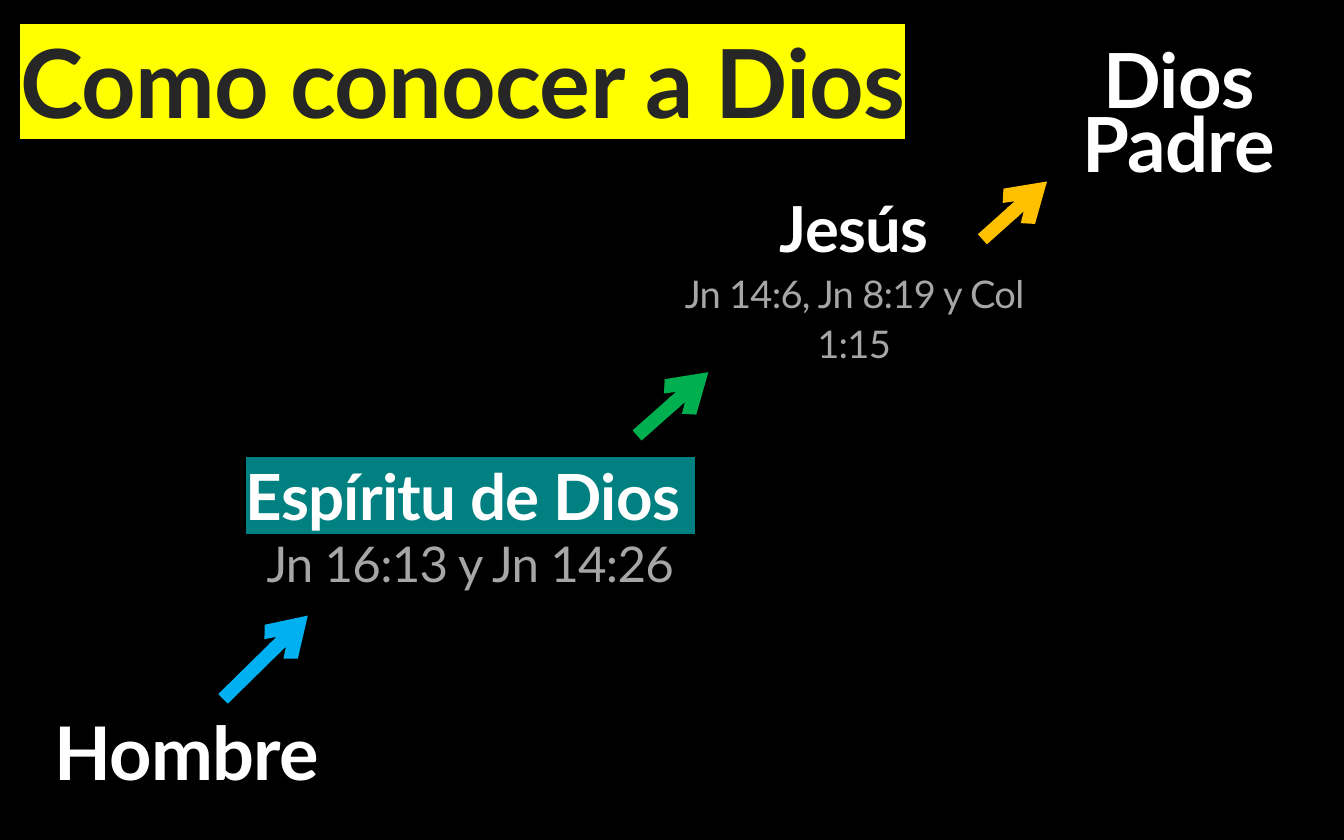
from lxml import etree
from pptx import Presentation
from pptx import util as u
from pptx.dml.color import RGBColor
from pptx.enum import shapes, text
from pptx.oxml.ns import qn

COLORS = {
    "background": "000000", "white": "FFFFFF", "reference": "A6A6A6",
    "heading": "262626", "yellow": "FFFF00", "teal": "008080",
    "blue": "00B0F0", "green": "00B050", "amber": "FFC000",
}
FONT = "Lato"


def rgb(name):
    """Return the named colour."""
    return RGBColor.from_string(COLORS[name])


def write_line(paragraph, words, size, color="white", bold=True, spacing=1.0,
               highlight=None, alignment=text.PP_ALIGN.CENTER):
    """Fill a paragraph with one formatted run."""
    run = paragraph.add_run()
    run.text = words
    paragraph.alignment = alignment
    paragraph.line_spacing = spacing
    paragraph.space_before = paragraph.space_after = u.Pt(0)
    font = paragraph.font
    font.name, font.size, font.bold = FONT, u.Pt(size), bold
    font.color.rgb = rgb(color)
    properties = run._r.get_or_add_rPr()
    properties.set("spc", "-40")
    if highlight:
        mark = etree.SubElement(properties, qn("a:highlight"))
        etree.SubElement(mark, qn("a:srgbClr"), val=COLORS[highlight])


def place(shape, box):
    """Move a text shape to its box and return its text frame."""
    shape.left, shape.top, shape.width, shape.height = map(u.Pt, box)
    frame = shape.text_frame
    frame.word_wrap = True
    frame.auto_size = text.MSO_AUTO_SIZE.NONE
    frame.vertical_anchor = text.MSO_ANCHOR.MIDDLE
    return frame


def add_heading(slide, box):
    """Write the highlighted slide title."""
    frame = place(slide.shapes.title, box)
    write_line(frame.paragraphs[0], "Como conocer a Dios", 51, "heading",
               spacing=0.8, highlight="yellow", alignment=text.PP_ALIGN.LEFT)


def add_step(slide, box, name, size, reference=None, reference_size=None,
             spacing=1.0, highlight=None):
    """Write one step with its optional Bible reference."""
    frame = place(slide.shapes.add_textbox(*map(u.Pt, box)), box)
    write_line(frame.paragraphs[0], name, size, spacing=spacing, highlight=highlight)
    if reference:
        write_line(frame.add_paragraph(), reference, reference_size, "reference",
                   bold=False, spacing=spacing)


def add_arrow(slide, box, color):
    """Draw an arrow from the lower left to the upper right of a box."""
    left, top, width, height = box
    arrow = slide.shapes.add_connector(
        shapes.MSO_CONNECTOR.STRAIGHT, u.Pt(left), u.Pt(top + height),
        u.Pt(left + width), u.Pt(top))
    arrow.line.width = u.Pt(7.25)
    arrow.line.color.rgb = rgb(color)
    etree.SubElement(arrow.line._get_or_add_ln(), qn("a:tailEnd"), type="arrow")
    etree.SubElement(arrow._element.spPr, qn("a:effectLst"))


def main():
    """Build the slide and save it."""
    presentation = Presentation()
    presentation.slide_width, presentation.slide_height = u.Pt(720), u.Pt(450)
    slide = presentation.slides.add_slide(presentation.slide_layouts[5])
    slide.background.fill.solid()
    slide.background.fill.fore_color.rgb = rgb("background")

    add_heading(slide, (3.6, 8, 522, 81.4))
    add_step(slide, (21, 371.5, 158.4, 67.7), "Hombre", 39.6, spacing=0.9)
    add_step(slide, (120.2, 233.3, 263.5, 95), "Espíritu de Dios ", 34.1,
             "Jn 16:13 y Jn 14:26", 26.4, highlight="teal")
    add_step(slide, (339.1, 101.5, 236.9, 90.7), "Jesús", 34,
             "Jn 14:6, Jn 8:19 y Col 1:15", 20.4, spacing=1.1)
    add_step(slide, (560.9, 23.8, 141.1, 82), "Dios Padre", 40.7, spacing=0.7)

    add_arrow(slide, (119.5, 329.8, 45.4, 44.6), "blue")
    add_arrow(slide, (341.3, 199.4, 38.2, 33.9), "green")
    add_arrow(slide, (526.3, 97.2, 34.6, 31), "amber")
    presentation.save("out.pptx")


if __name__ == "__main__":
    main()
